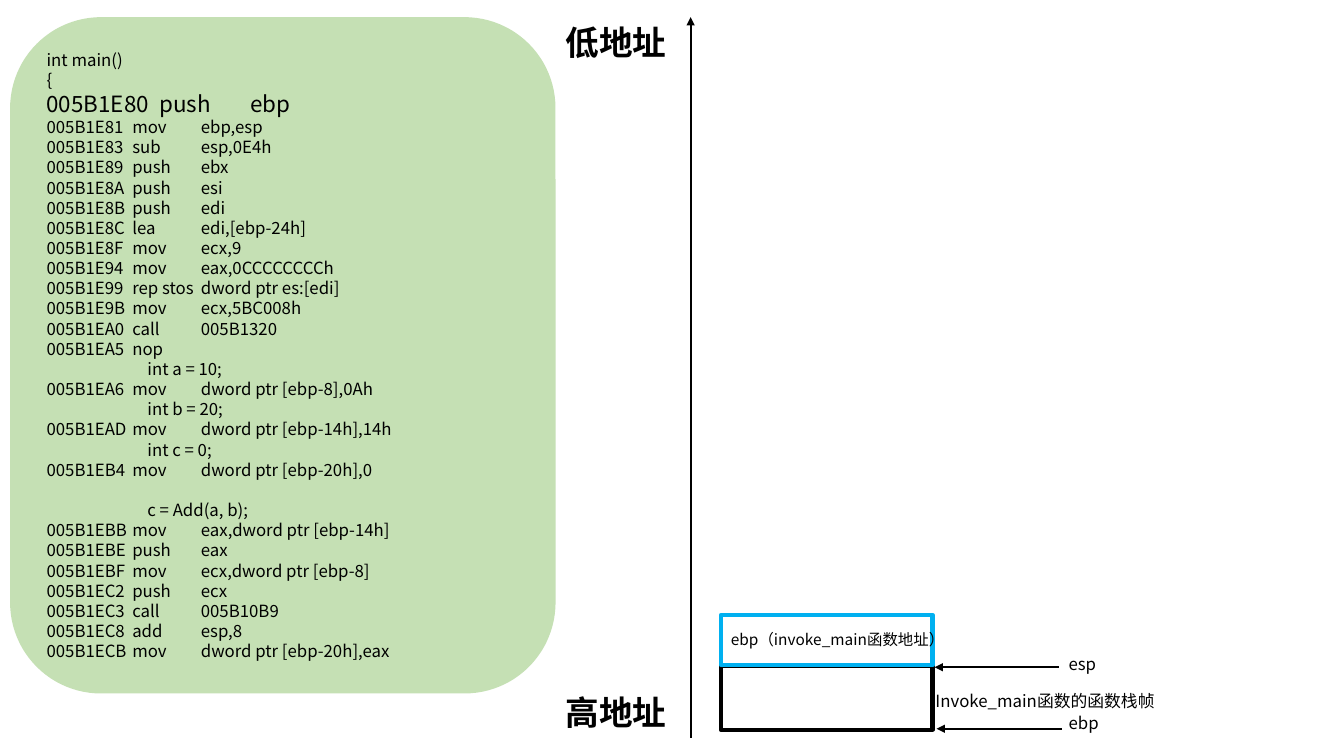
from dataclasses import dataclass

import lxml.etree
import pptx
import pptx.dml.color
import pptx.enum.shapes
import pptx.enum.text
import pptx.oxml.ns
import pptx.util

PX = 9144
FONT = "Noto Sans CJK SC"
LINE_HEIGHT = 1.2
COLORS = {"ink": "000000", "new": "00B0F0", "code": "C5E0B4"}
SHAPES = pptx.enum.shapes.MSO_SHAPE
LEFT = pptx.enum.text.PP_ALIGN.LEFT

CODE = """int main()
{
005B1E80\tpush\tebp
005B1E81\tmov\tebp,esp
005B1E83\tsub\tesp,0E4h
005B1E89\tpush\tebx
005B1E8A\tpush\tesi
005B1E8B\tpush\tedi
005B1E8C\tlea\tedi,[ebp-24h]
005B1E8F\tmov\tecx,9
005B1E94\tmov\teax,0CCCCCCCCh
005B1E99\trep stos\tdword ptr es:[edi]
005B1E9B\tmov\tecx,5BC008h
005B1EA0\tcall\t005B1320
005B1EA5\tnop
\tint a = 10;
005B1EA6\tmov\tdword ptr [ebp-8],0Ah
\tint b = 20;
005B1EAD\tmov\tdword ptr [ebp-14h],14h
\tint c = 0;
005B1EB4\tmov\tdword ptr [ebp-20h],0
\tc = Add(a, b);
005B1EBB\tmov\teax,dword ptr [ebp-14h]
005B1EBE\tpush\teax
005B1EBF\tmov\tecx,dword ptr [ebp-8]
005B1EC2\tpush\tecx
005B1EC3\tcall\t005B10B9
005B1EC8\tadd\tesp,8
005B1ECB\tmov\tdword ptr [ebp-20h],eax"""
CURRENT_ADDRESS = "005B1E80"
ADD_CALL = "\tc = Add(a, b);"
COLUMNS = {12: (85, 153), 16: (112, 202)}
SOURCE_INDENT = 100


@dataclass
class Frame:
    left: int
    top: int
    width: int
    height: int
    color: str


@dataclass
class Arrow:
    start: tuple[int, int]
    end: tuple[int, int]


@dataclass
class Label:
    text: str
    left: int
    top: int
    width: int
    height: int
    size: int = 12
    bold: bool = False


FRAMES = [
    Frame(715, 661, 210, 63, "ink"),
    Frame(715, 610, 210, 50, "new"),
]
ARROWS = [
    Arrow((1050, 662), (927, 662)),
    Arrow((1053, 723), (929, 723)),
    Arrow((685, 732), (685, 17)),
]
LABELS = [
    Label("Invoke_main函数的函数栈帧", 918, 680, 345, 30),
    Label("esp", 1050, 644, 345, 30),
    Label("ebp", 1050, 702, 345, 30),
    Label("ebp（invoke_main函数地址）", 715, 620, 248, 29, size=11),
    Label("高地址", 551, 682, 164, 50, size=24, bold=True),
    Label("低地址", 551, 17, 164, 50, size=24, bold=True),
]


def emu(*lengths: int) -> list[int]:
    return [length * PX for length in lengths]


def rgb(name: str) -> pptx.dml.color.RGBColor:
    return pptx.dml.color.RGBColor.from_string(COLORS[name])


def add_child(parent, tag: str, **attributes: str):
    return lxml.etree.SubElement(parent, pptx.oxml.ns.qn(tag), attributes)


def write_line(paragraph, text: str, size: int, bold: bool = False) -> None:
    paragraph.alignment = LEFT
    paragraph.line_spacing = pptx.util.Pt(size * LINE_HEIGHT)
    run = paragraph.add_run()
    run.text = text
    formats = {"name": FONT, "size": pptx.util.Pt(size), "bold": bold}
    for attribute, value in formats.items():
        setattr(run.font, attribute, value)
    run.font.color.rgb = rgb("ink")
    add_child(run._r.get_or_add_rPr(), "a:ea", typeface=FONT)


def set_columns(paragraph, stops: tuple[int, ...]) -> None:
    tab_list = add_child(paragraph._p.get_or_add_pPr(), "a:tabLst")
    for stop in emu(*stops):
        add_child(tab_list, "a:tab", pos=str(stop), algn="l")


def draw_frame(slide, frame: Frame) -> None:
    box = slide.shapes.add_shape(
        SHAPES.RECTANGLE, *emu(frame.left, frame.top, frame.width, frame.height)
    )
    box.shadow.inherit = False
    box.fill.background()
    box.line.color.rgb = rgb(frame.color)
    box.line.width = pptx.util.Pt(3)


def draw_arrow(slide, arrow: Arrow) -> None:
    connector = slide.shapes.add_connector(
        pptx.enum.shapes.MSO_CONNECTOR.STRAIGHT, *emu(*arrow.start, *arrow.end)
    )
    connector.line.color.rgb = rgb("ink")
    connector.line.width = pptx.util.Pt(1.5)
    properties = connector.element.spPr
    add_child(properties.find(pptx.oxml.ns.qn("a:ln")), "a:tailEnd", type="triangle")
    add_child(properties, "a:effectLst")


def draw_label(slide, label: Label) -> None:
    box = slide.shapes.add_textbox(
        *emu(label.left, label.top, label.width, label.height)
    )
    box.text_frame.word_wrap = True
    write_line(box.text_frame.paragraphs[0], label.text, label.size, label.bold)


def draw_code(slide) -> None:
    panel = slide.shapes.add_shape(SHAPES.ROUNDED_RECTANGLE, *emu(10, 17, 541, 671))
    panel.shadow.inherit = False
    panel.fill.solid()
    panel.fill.fore_color.rgb = rgb("code")
    panel.line.fill.background()
    listing = panel.text_frame
    listing.word_wrap = True
    for index, text in enumerate(CODE.split("\n")):
        paragraph = listing.add_paragraph() if index else listing.paragraphs[0]
        size = 16 if text.startswith(CURRENT_ADDRESS) else 12
        write_line(paragraph, text, size)
        if text == ADD_CALL:
            paragraph.space_before = pptx.util.Pt(size * LINE_HEIGHT)
        if text.startswith("\t"):
            set_columns(paragraph, (SOURCE_INDENT,))
        elif "\t" in text:
            set_columns(paragraph, COLUMNS[size])


def main() -> None:
    deck = pptx.Presentation()
    deck.slide_width, deck.slide_height = emu(1333, 750)
    slide = deck.slides.add_slide(deck.slide_layouts[6])
    for frame in FRAMES:
        draw_frame(slide, frame)
    for arrow in ARROWS:
        draw_arrow(slide, arrow)
    for label in LABELS:
        draw_label(slide, label)
    draw_code(slide)
    deck.save("out.pptx")


if __name__ == "__main__":
    main()
